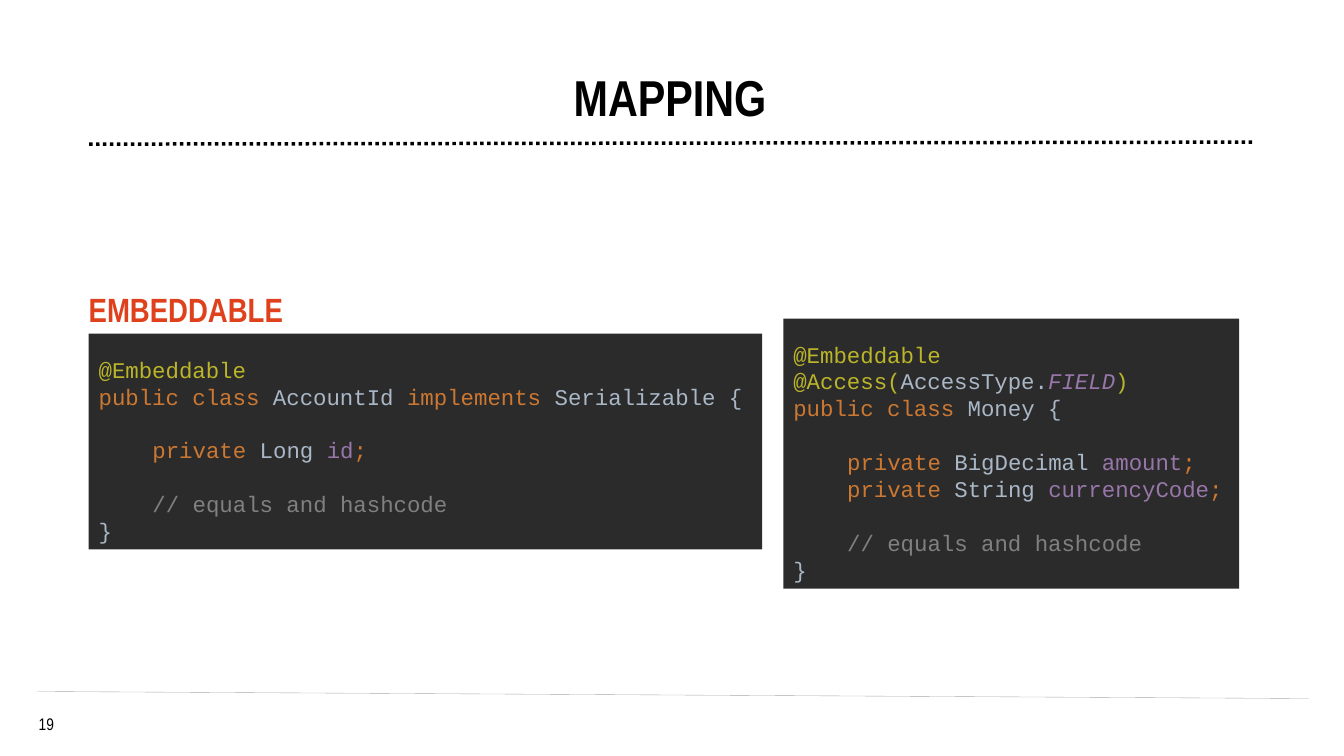
from dataclasses import dataclass

import pptx
import pptx.dml.color
import pptx.enum.dml
import pptx.enum.shapes
import pptx.enum.text
import pptx.oxml.ns
import pptx.slide
import pptx.text.text
import pptx.util
from pptx.util import Inches, Length

Align = pptx.enum.text.PP_ALIGN
Anchor = pptx.enum.text.MSO_ANCHOR
Span = tuple[str, str]


@dataclass(frozen=True)
class Theme:
    heading_font: str = "Arial Narrow"
    code_font: str = "Courier New"
    title_size: float = 36
    heading_size: float = 24
    code_size: float = 16
    number_size: float = 12
    code_pitch: float = 19.2
    ink: str = "000000"
    accent: str = "DF411C"
    rule: str = "A6AAA9"
    panel: str = "2B2B2B"
    annotation: str = "BBB529"
    keyword: str = "CC7832"
    plain: str = "A9B7C6"
    field: str = "9876AA"
    remark: str = "808080"


THEME = Theme()


@dataclass(frozen=True)
class Label:
    text: str
    area: tuple[float, float, float, float]
    size: float
    color: str = THEME.ink
    bold: bool = True
    align: Align = Align.CENTER
    anchor: Anchor = Anchor.BOTTOM
    spacing: float = 1.0
    insets: tuple[float, float, float, float] = (0, 0.05, 0.1, 0.05)


@dataclass(frozen=True)
class Rule:
    start: tuple[float, float]
    end: tuple[float, float]
    color: str
    width: float
    dotted: bool = False


@dataclass(frozen=True)
class CodeLine:
    spans: tuple[Span, ...]
    level: int = 0
    gap: bool = False


@dataclass(frozen=True)
class CodePanel:
    area: tuple[float, float, float, float]
    lines: tuple[CodeLine, ...]


def inches(values: tuple[float, ...]) -> list[Length]:
    return [Inches(value) for value in values]


def rgb(color: str) -> pptx.dml.color.RGBColor:
    return pptx.dml.color.RGBColor.from_string(color)


def set_frame(frame: pptx.text.text.TextFrame, anchor: Anchor,
              insets: tuple[float, float, float, float]) -> None:
    frame.word_wrap = True
    frame.vertical_anchor = anchor
    (frame.margin_left, frame.margin_top,
     frame.margin_right, frame.margin_bottom) = inches(insets)


def style_span(span: pptx.text.text._Run, font: str, size: float, color: str) -> None:
    span.font.name = font
    span.font.size = pptx.util.Pt(size)
    span.font.color.rgb = rgb(color)


def draw_label(page: pptx.slide.Slide, label: Label) -> None:
    box = page.shapes.add_textbox(*inches(label.area))
    set_frame(box.text_frame, label.anchor, label.insets)
    box.text_frame.text = label.text
    para = box.text_frame.paragraphs[0]
    para.alignment = label.align
    para.line_spacing = label.spacing
    style_span(para.runs[0], THEME.heading_font, label.size, label.color)
    para.runs[0].font.bold = label.bold


def draw_rule(page: pptx.slide.Slide, rule: Rule) -> None:
    line = page.shapes.add_connector(pptx.enum.shapes.MSO_CONNECTOR.STRAIGHT,
                                     *inches(rule.start + rule.end))
    line.line.color.rgb = rgb(rule.color)
    line.line.width = pptx.util.Pt(rule.width)
    if rule.dotted:
        line.line.dash_style = pptx.enum.dml.MSO_LINE.ROUND_DOT
    properties = line._element.spPr
    properties.append(properties.makeelement(pptx.oxml.ns.qn("a:effectLst"), {}))


def draw_panel(page: pptx.slide.Slide, panel: CodePanel) -> None:
    box = page.shapes.add_shape(pptx.enum.shapes.MSO_SHAPE.RECTANGLE, *inches(panel.area))
    box.shadow.inherit = False
    box.fill.solid()
    box.fill.fore_color.rgb = rgb(THEME.panel)
    box.line.fill.background()
    frame = box.text_frame
    set_frame(frame, Anchor.TOP, (0.1, 0.22, 0.1, 0.05))
    frame.text = "\n".join("".join(text for text, _ in line.spans) for line in panel.lines)
    for para, line in zip(frame.paragraphs, panel.lines):
        para.alignment = Align.LEFT
        para.line_spacing = pptx.util.Pt(THEME.code_pitch)
        para.space_before = pptx.util.Pt(THEME.code_pitch if line.gap else 0)
        # One level is four characters, each 0.6 of the type size wide
        indent = pptx.util.Pt(line.level * 4 * 0.6 * THEME.code_size)
        para._p.get_or_add_pPr().set("marL", str(int(indent)))
        para.runs[0].text = line.spans[0][0]
        for text, _ in line.spans[1:]:
            para.add_run().text = text
        for span, (_, color) in zip(para.runs, line.spans):
            style_span(span, THEME.code_font, THEME.code_size, color)
            span.font.italic = span.text == "FIELD"


def member(kind: str, name: str, gap: bool = False) -> CodeLine:
    return CodeLine((("private ", THEME.keyword), (kind + " ", THEME.plain),
                     (name, THEME.field), (";", THEME.keyword)), level=1, gap=gap)


# Lines that both classes share
EMBEDDABLE = CodeLine((("@Embeddable", THEME.annotation),))
ENDING = (CodeLine((("// equals and hashcode", THEME.remark),), level=1, gap=True),
          CodeLine((("}", THEME.plain),)))

RULES = (
    Rule((12.42, 1.41), (0.88, 1.43), THEME.ink, 2.5, dotted=True),
    Rule((0.37, 6.86), (12.98, 6.93), THEME.rule, 0.25),
)
LABELS = (
    Label("19", (0.22, 7.08, 0.48, 0.2), THEME.number_size, bold=False,
          anchor=Anchor.TOP, insets=(0, 0, 0, 0)),
    Label("MAPPING", (1.32, 0.17, 10.75, 1.12), THEME.title_size, spacing=0.7),
    Label("EMBEDDABLE", (0.88, 2.89, 7, 0.42), THEME.heading_size, THEME.accent,
          align=Align.LEFT, spacing=0.8),
)
PANELS = (
    CodePanel((0.88, 3.31, 6.68, 2.14), (
        EMBEDDABLE,
        CodeLine((("public class ", THEME.keyword), ("AccountId ", THEME.plain),
                  ("implements ", THEME.keyword), ("Serializable {", THEME.plain))),
        member("Long", "id", gap=True),
        *ENDING)),
    CodePanel((7.77, 3.16, 4.52, 2.68), (
        EMBEDDABLE,
        CodeLine((("@Access(", THEME.annotation), ("AccessType.", THEME.plain),
                  ("FIELD", THEME.field), (")", THEME.annotation))),
        CodeLine((("public class ", THEME.keyword), ("Money {", THEME.plain))),
        member("BigDecimal", "amount", gap=True),
        member("String", "currencyCode"),
        *ENDING)),
)

deck = pptx.Presentation()
deck.slide_width, deck.slide_height = Inches(13.33), Inches(7.5)
page = deck.slides.add_slide(deck.slide_layouts[6])

# Rules, headings and page number
for rule in RULES:
    draw_rule(page, rule)
for label in LABELS:
    draw_label(page, label)

# Code panels
for panel in PANELS:
    draw_panel(page, panel)

deck.save("out.pptx")
